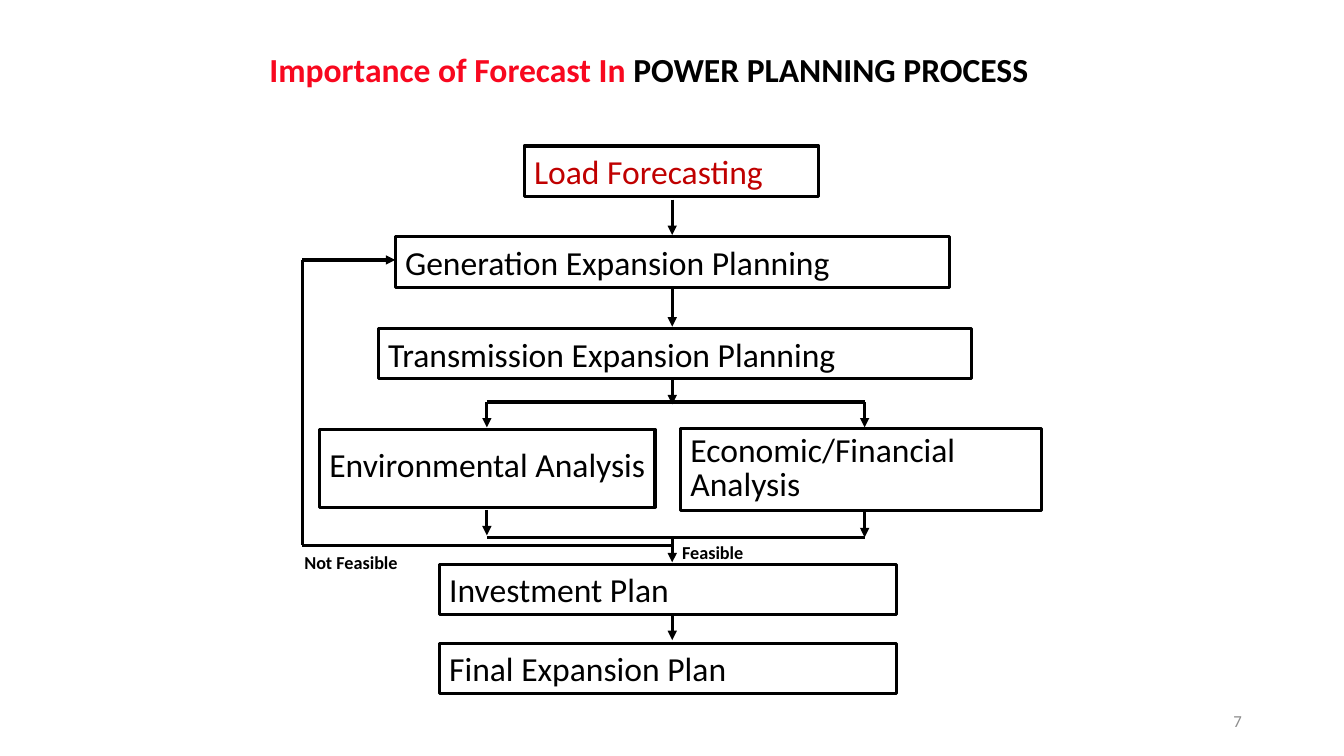
from pptx import Presentation
from pptx import util as u
from pptx.dml.color import RGBColor
from pptx.enum import shapes, text
from pptx.oxml import ns
from lxml import etree

BLACK = RGBColor(0x00, 0x00, 0x00)
RED = RGBColor(0xF8, 0x08, 0x1F)
DARK_RED = RGBColor(0xC0, 0x00, 0x00)
GREY = RGBColor(0x8C, 0x8C, 0x8C)
FONT = "Calibri"


def format_run(run, size, color, bold=False):
    """Set the font of one run."""
    run.font.name = FONT
    run.font.size = u.Pt(size)
    run.font.color.rgb = color
    run.font.bold = bold


def add_text(slide, left, top, width, height, words, size, color, bold=False):
    """Add a wrapping text box with one run and return it."""
    shape = slide.shapes.add_textbox(u.Cm(left), u.Cm(top), u.Cm(width), u.Cm(height))
    shape.text_frame.word_wrap = True
    shape.text_frame.text = words
    format_run(shape.text_frame.paragraphs[0].runs[0], size, color, bold)
    return shape


def add_step(slide, left, top, width, height, words, color=BLACK, spacing=1.0):
    """Add one outlined step of the flowchart."""
    shape = slide.shapes.add_shape(
        shapes.MSO_SHAPE.RECTANGLE, u.Cm(left), u.Cm(top), u.Cm(width), u.Cm(height))
    shape.shadow.inherit = False
    shape.fill.background()
    shape.line.color.rgb = BLACK
    shape.line.width = u.Pt(2.25)
    frame = shape.text_frame
    frame.word_wrap = True
    frame.vertical_anchor = text.MSO_ANCHOR.MIDDLE
    frame.text = words
    paragraph = frame.paragraphs[0]
    paragraph.alignment = text.PP_ALIGN.LEFT
    paragraph.line_spacing = spacing
    format_run(paragraph.runs[0], 24, color)


def add_line(slide, x1, y1, x2, y2, arrow=False):
    """Add a straight line, with an arrowhead at its end if asked."""
    connector = slide.shapes.add_connector(
        shapes.MSO_CONNECTOR.STRAIGHT, u.Cm(x1), u.Cm(y1), u.Cm(x2), u.Cm(y2))
    connector.line.color.rgb = BLACK
    connector.line.width = u.Pt(2.25)
    if arrow:
        outline = connector.line._get_or_add_ln()
        etree.SubElement(outline, ns.qn("a:tailEnd"), type="triangle")
    etree.SubElement(connector._element.spPr, ns.qn("a:effectLst"))


def add_title(slide, left, top, width, height):
    """Add the two-coloured title."""
    shape = add_text(slide, left, top, width, height,
                     "Importance of Forecast In ", 24, RED, True)
    shape.text_frame.margin_left = u.Cm(0.44)
    run = shape.text_frame.paragraphs[0].add_run()
    run.text = "POWER PLANNING PROCESS"
    format_run(run, 24, BLACK, True)


def add_steps(slide, left, top):
    """Add the steps of the planning process."""
    row = 1.27
    steps = [
        (5.59, 0, 7.42, row, "Load Forecasting", DARK_RED),
        (2.34, 2.29, 13.97, row, "Generation Expansion Planning"),
        (1.91, 4.6, 14.96, row, "Transmission Expansion Planning"),
        (0.43, 7.14, 8.46, 1.96, "Environmental Analysis", BLACK, 0.8),
        (9.53, 7.12, 9.09, 2.06, "Economic/Financial Analysis", BLACK, 0.85),
        (3.45, 10.54, 11.53, row, "Investment Plan"),
        (3.45, 12.53, 11.53, row, "Final Expansion Plan"),
    ]
    for x, y, *details in steps:
        add_step(slide, left + x, top + y, *details)


def add_flow(slide, left, top):
    """Add the arrows between the steps and the feedback loop."""
    center, west, east = 9.32, 4.65, 14.17
    split, merge = 6.45, 9.86
    loop_top, loop_bottom = 2.87, 10.06
    arrows = [
        (center, 1.35, 2.24), (center, 3.53, 4.55), (center, 5.87, 6.51),
        (center, merge, 10.49), (center, 11.81, 12.45),
        (west, split, 7.09), (east, split, 7.09),
        (west, 9.17, 9.81), (east, 9.22, merge),
    ]
    for x, start, end in arrows:
        add_line(slide, left + x, top + start, left + x, top + end, arrow=True)
    for y in (split, merge):
        add_line(slide, left + west, top + y, left + east, top + y)
    add_line(slide, left, top + loop_top, left, top + loop_bottom)
    add_line(slide, left, top + loop_bottom, left + center, top + loop_bottom)
    add_line(slide, left, top + loop_top, left + 2.34, top + loop_top, arrow=True)


def add_outcomes(slide, left, top):
    """Label the two outcomes of the analyses."""
    add_text(slide, left + 9.32, top + 9.83, 2.74, 0.81, "Feasible", 13, BLACK, True)
    add_text(slide, left - 0.2, top + 10.09, 3.38, 0.81, "Not Feasible", 13, BLACK, True)


def add_slide_number(slide, left, top, width, height):
    """Add the slide number."""
    shape = add_text(slide, left, top, width, height, "7", 12, GREY)
    shape.text_frame.vertical_anchor = text.MSO_ANCHOR.MIDDLE
    shape.text_frame.paragraphs[0].alignment = text.PP_ALIGN.RIGHT


def main():
    """Build the slide and save it."""
    presentation = Presentation()
    presentation.slide_width = u.Cm(33.87)
    presentation.slide_height = u.Cm(19.05)
    slide = presentation.slides.add_slide(presentation.slide_layouts[6])
    add_title(slide, 6.35, 1.12, 21.79, 1.27)
    add_steps(slide, 7.62, 3.68)
    add_flow(slide, 7.62, 3.68)
    add_outcomes(slide, 7.62, 3.68)
    add_slide_number(slide, 23.93, 17.65, 7.62, 1.02)
    presentation.save("out.pptx")


if __name__ == "__main__":
    main()
